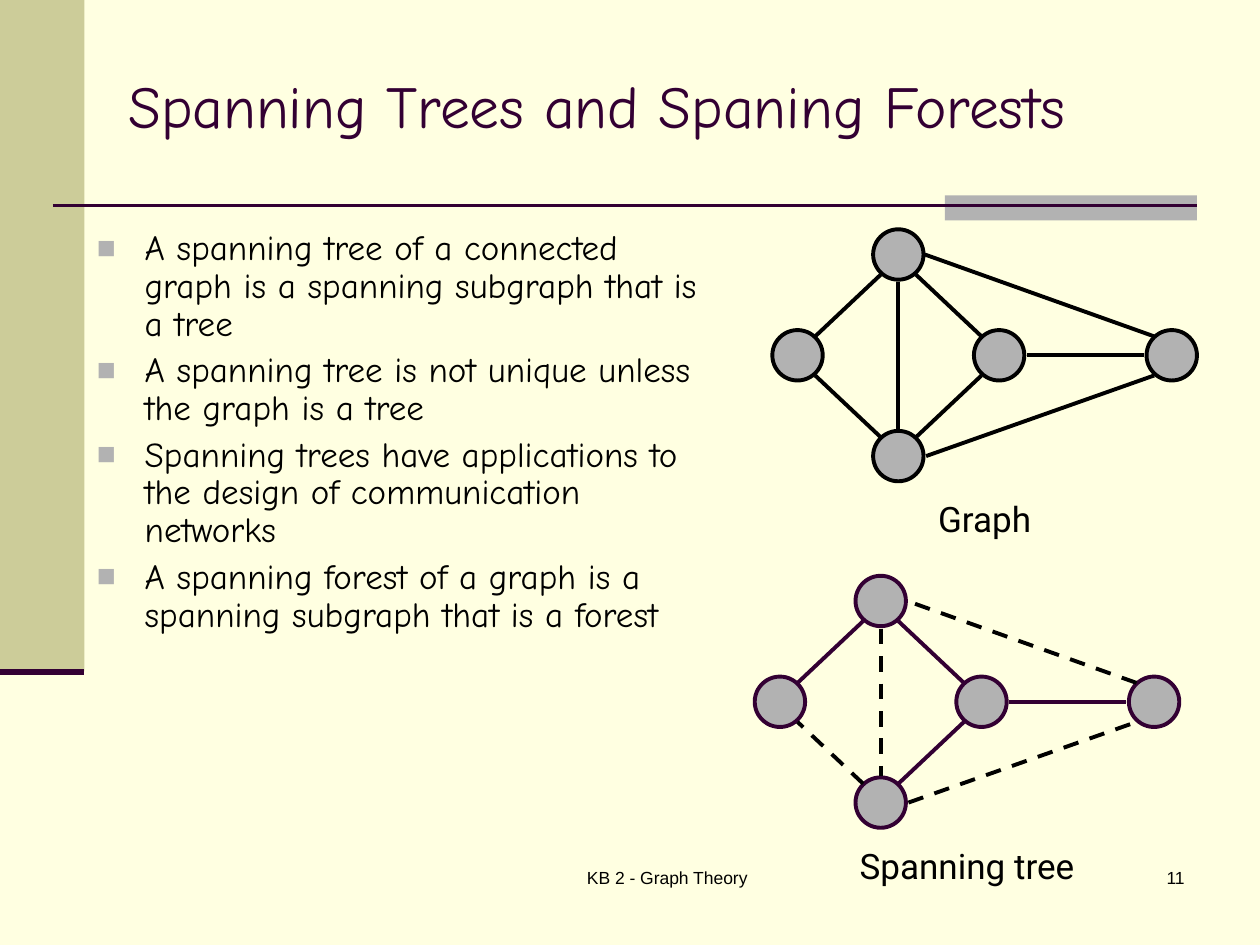
from lxml.etree import SubElement
from pptx import Presentation
from pptx.dml.color import RGBColor
from pptx.enum.dml import MSO_LINE
from pptx.enum.shapes import MSO_CONNECTOR, MSO_SHAPE
from pptx.enum.text import MSO_ANCHOR, PP_ALIGN
from pptx.oxml.ns import qn
from pptx.util import Inches, Pt

CREAM = RGBColor(0xFF, 0xFF, 0xE1)
KHAKI = RGBColor(0xCC, 0xCC, 0x99)
GRAY = RGBColor(0xB2, 0xB2, 0xB2)
PLUM = RGBColor(0x33, 0x00, 0x33)
BLACK = RGBColor(0x00, 0x00, 0x00)

NODE_SIZE = 0.4
NODES = [(1.6, 0.8), (0, 0.8), (0.8, 0), (0.8, 1.6), (2.97, 0.8)]
TREE_EDGES = [
    ((0.86, 0.36), (0.34, 0.85)),
    ((1.14, 1.65), (1.66, 1.16)),
    ((1.14, 0.36), (1.66, 0.85)),
    ((2.02, 1), (2.95, 1)),
]
OTHER_EDGES = [
    ((0.86, 1.65), (0.34, 1.16)),
    ((1, 0.42), (1, 1.59)),
    ((1.22, 1.8), (3.03, 1.16)),
    ((3.03, 0.85), (1.21, 0.2)),
]
POINTS = [
    "A spanning tree of a connected graph is a spanning subgraph that is a tree",
    "A spanning tree is not unique unless the graph is a tree",
    "Spanning trees have applications to the design of communication networks",
    "A spanning forest of a graph is a spanning subgraph that is a forest",
]


class SlideBuilder:
    heading_font = "Comic Neue"
    label_font = "Roboto"
    footer_font = "Arial"
    edge_width = 2.25

    def __init__(self, slide):
        self.slide = slide
        slide.background.fill.solid()
        slide.background.fill.fore_color.rgb = CREAM

    def add_block(self, kind, left, top, width, height, fill, outline=None):
        shape = self.slide.shapes.add_shape(
            kind, Inches(left), Inches(top), Inches(width), Inches(height))
        shape.shadow.inherit = False
        shape.fill.solid()
        shape.fill.fore_color.rgb = fill
        if outline is None:
            shape.line.fill.background()
        else:
            shape.line.color.rgb = outline
            shape.line.width = Pt(self.edge_width)

    def add_line(self, start, end, color, width, dashed=False):
        connector = self.slide.shapes.add_connector(
            MSO_CONNECTOR.STRAIGHT, *[Inches(value) for value in (*start, *end)])
        connector.line.color.rgb = color
        connector.line.width = Pt(width)
        if dashed:
            connector.line.dash_style = MSO_LINE.DASH
        SubElement(connector._element.spPr, qn("a:effectLst"))

    def add_text(self, texts, left, top, width, height, font, size, color=BLACK,
                 align=PP_ALIGN.LEFT, anchor=MSO_ANCHOR.TOP, bulleted=False):
        box = self.slide.shapes.add_textbox(
            Inches(left), Inches(top), Inches(width), Inches(height))
        frame = box.text_frame
        frame.word_wrap = True
        frame.vertical_anchor = anchor
        frame.text = "\n".join(texts)
        for paragraph in frame.paragraphs:
            paragraph.alignment = align
            if bulleted:
                self.add_bullet(paragraph)
            paragraph.font.name = font
            paragraph.font.size = Pt(size)
            paragraph.font.color.rgb = color

    def add_bullet(self, paragraph):
        paragraph.line_spacing = 0.9
        paragraph.space_before = Pt(5)
        properties = paragraph._p.get_or_add_pPr()
        properties.set("marL", str(Inches(0.38)))
        properties.set("indent", str(Inches(-0.38)))
        bullet_color = SubElement(properties, qn("a:buClr"))
        SubElement(bullet_color, qn("a:srgbClr"), val=str(GRAY))
        SubElement(properties, qn("a:buSzPct"), val="90000")
        SubElement(properties, qn("a:buFont"), typeface=self.footer_font)
        SubElement(properties, qn("a:buChar"), char="■")

    def add_graph(self, left, top, color, dash_others):
        def place(point):
            return left + point[0], top + point[1]

        for node in NODES:
            self.add_block(MSO_SHAPE.OVAL, *place(node), NODE_SIZE, NODE_SIZE,
                           GRAY, color)
        for start, end in TREE_EDGES:
            self.add_line(place(start), place(end), color, self.edge_width)
        for start, end in OTHER_EDGES:
            self.add_line(place(start), place(end), BLACK, self.edge_width,
                          dash_others)


def main():
    presentation = Presentation()
    presentation.slide_width = Inches(10)
    presentation.slide_height = Inches(7.5)
    builder = SlideBuilder(
        presentation.slides.add_slide(presentation.slide_layouts[6]))

    builder.add_block(MSO_SHAPE.RECTANGLE, 0, 0, 0.67, 5.33, KHAKI)
    builder.add_block(MSO_SHAPE.RECTANGLE, 7.5, 1.55, 2, 0.2, GRAY)
    builder.add_line((0.42, 1.63), (9.5, 1.63), PLUM, 1.5)
    builder.add_line((0, 5.33), (0.67, 5.33), PLUM, 3.5)

    builder.add_text(["Spanning Trees and Spaning Forests"], 0.92, 0.25, 8.5, 1.17,
                     builder.heading_font, 34, PLUM, anchor=MSO_ANCHOR.MIDDLE)
    builder.add_text(POINTS, 0.67, 1.78, 5, 4.64, builder.heading_font, 20,
                     bulleted=True)
    builder.add_text(["Graph"], 6.25, 3.9, 3.13, 0.44, builder.label_font, 20,
                     align=PP_ALIGN.CENTER)
    builder.add_text(["Spanning tree"], 5.68, 6.65, 3.99, 0.44,
                     builder.label_font, 20, align=PP_ALIGN.CENTER)

    builder.add_graph(6.13, 1.82, BLACK, dash_others=False)
    builder.add_graph(5.99, 4.57, PLUM, dash_others=True)

    builder.add_text(["KB 2 - Graph Theory"], 3.67, 6.83, 3.25, 0.5,
                     builder.footer_font, 10, align=PP_ALIGN.CENTER)
    builder.add_text(["11"], 7.42, 6.83, 2.08, 0.5, builder.footer_font, 10,
                     align=PP_ALIGN.RIGHT)
    presentation.save("out.pptx")


if __name__ == "__main__":
    main()
